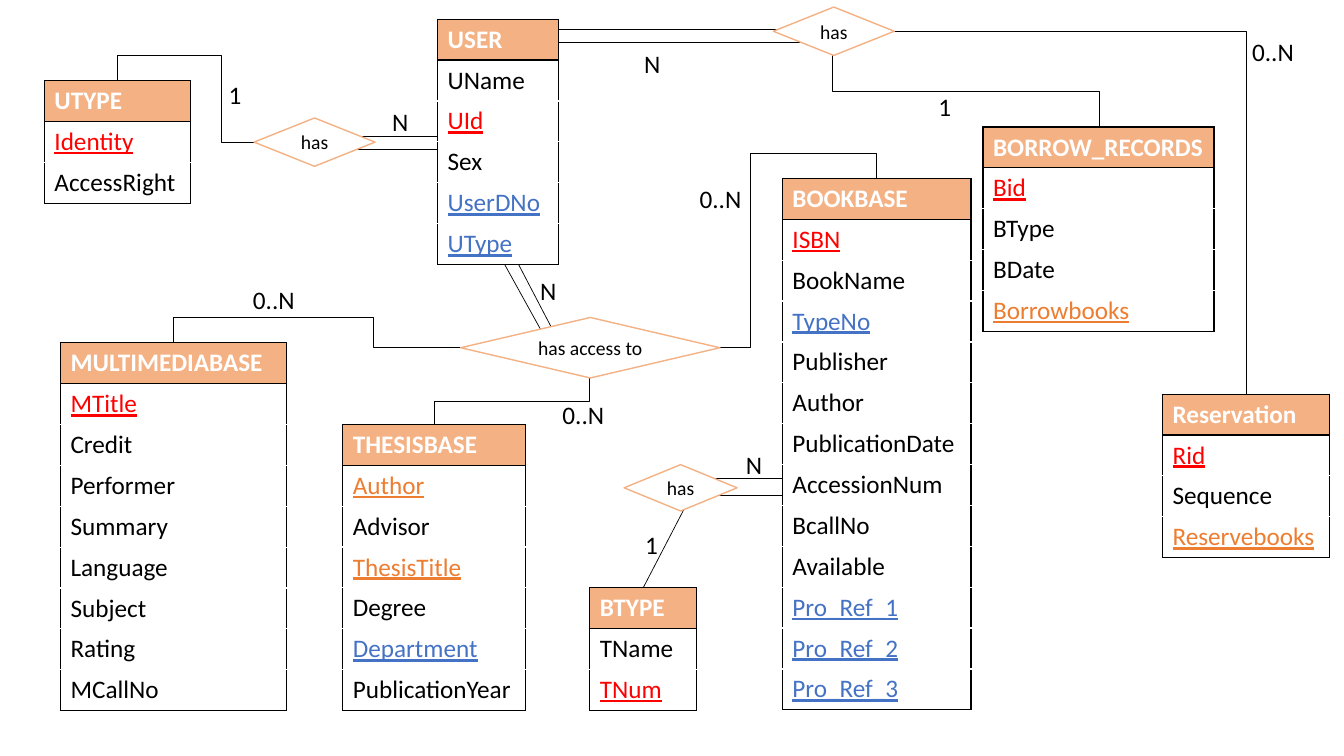
"""Build the entity-relationship diagram of a library database."""
from lxml import etree
from pptx import Presentation
from pptx import util as u
from pptx.dml.color import RGBColor
from pptx.enum import shapes, text
from pptx.oxml.ns import qn

FONT = "Calibri"
COLORS = {"plain": "000000", "primary": "FF0000", "foreign": "4472C4",
          "multiple": "ED7D31", "header": "F4B183", "white": "FFFFFF"}
ROW = u.Inches(5.27) // 13

# Each entity: name, left, top, width, and attributes as name or name:kind
ENTITIES = [
    ("BTYPE", 5.85, 5.83, 1.06, "TName TNum:primary"),
    ("UTYPE", 0.44, 0.8, 1.45, "Identity:primary AccessRight"),
    ("MULTIMEDIABASE", 0.6, 3.4, 2.24,
     "MTitle:primary Credit Performer Summary Language Subject Rating MCallNo"),
    ("THESISBASE", 3.4, 4.21, 1.81,
     "Author:multiple Advisor ThesisTitle:multiple Degree Department:foreign PublicationYear"),
    ("USER", 4.34, 0.19, 1.2, "UName UId:primary Sex UserDNo:foreign UType:foreign"),
    ("BOOKBASE", 7.76, 1.77, 1.87,
     "ISBN:primary BookName TypeNo:foreign Publisher Author PublicationDate AccessionNum "
     "BcallNo Available Pro_Ref_1:foreign Pro_Ref_2:foreign Pro_Ref_3:foreign"),
    ("BORROW_RECORDS", 9.75, 1.26, 2.29, "Bid:primary BType BDate Borrowbooks:multiple"),
    ("Reservation", 11.53, 3.91, 1.66, "Rid:primary Sequence Reservebooks:multiple"),
]
RELATIONSHIPS = [
    ("has access to", 4.57, 3.15, 2.57, 0.6),
    ("has", 6.19, 4.61, 1.12, 0.46),
    ("has", 2.52, 1.17, 1.2, 0.48),
    ("has", 7.67, 0.07, 1.2, 0.48),
]
STRAIGHT_LINES = [
    ((3.54, 1.35), (4.34, 1.35)), ((3.54, 1.48), (4.35, 1.48)),
    ((5.11, 2.56), (5.59, 3.48)), ((4.97, 2.56), (5.54, 3.59)),
    ((6.89, 4.75), (8.08, 4.75)), ((6.88, 4.91), (8.09, 4.91)),
    ((5.53, 0.29), (8.04, 0.29)), ((5.53, 0.42), (8.09, 0.42)),
    ((6.38, 5.83), (6.78, 5.06)),
]
# Each elbow: start, end, whether it leaves vertically, coordinates of its turns
ELBOWS = [
    ((1.16, 0.8), (2.52, 1.41), True, (0.55, 2.2)),
    ((4.57, 3.45), (1.72, 3.4), False, (3.7, 3.15)),
    ((5.85, 3.75), (4.31, 4.21), True, (3.98,)),
    ((7.13, 3.45), (8.69, 1.77), False, (7.44, 1.52)),
    ((8.26, 0.55), (10.9, 1.26), True, (0.91,)),
    ((8.86, 0.31), (12.36, 3.91), False, ()),
]
LABEL_WIDTHS = {"N": 0.36, "1": 0.33, "0..N": 0.62}
LABELS = [
    ("N", 7.3, 4.41), ("N", 3.79, 1.01), ("N", 5.26, 2.68), ("N", 6.29, 0.43),
    ("0..N", 6.84, 1.77), ("0..N", 2.41, 2.77), ("0..N", 5.48, 3.91),
    ("0..N", 12.32, 0.31), ("1", 2.17, 0.74), ("1", 6.3, 5.2), ("1", 9.21, 0.86),
]


def color(name):
    """Return the named colour."""
    return RGBColor.from_string(COLORS[name])


def write(frame, words, size, kind="plain", bold=False):
    """Put one styled paragraph in a text frame and return it."""
    para = frame.paragraphs[0]
    para.text = words
    para.font.name, para.font.size, para.font.bold = FONT, u.Pt(size), bold
    para.font.underline = kind in ("primary", "foreign", "multiple")
    para.font.color.rgb = color(kind)
    return para


def set_borders(cell, top, bottom):
    """Draw black sides and the given top and bottom borders on a cell."""
    properties = cell._tc.get_or_add_tcPr()
    sides = {"lnL": "plain", "lnR": "plain", "lnT": top, "lnB": bottom}
    for position, (side, name) in enumerate(sides.items()):
        line = etree.Element(qn(f"a:{side}"), w=str(u.Pt(1)))
        fill = etree.SubElement(line, qn("a:solidFill"))
        etree.SubElement(fill, qn("a:srgbClr"), val=COLORS[name])
        properties.insert(position, line)


def add_entity(page, name, left, top, width, attributes):
    """Add an entity as a one-column table with a header."""
    fields = [(name, "white")]
    for item in attributes.split():
        field, _, kind = item.partition(":")
        fields.append((field, kind or "plain"))
    count = len(fields)
    table = page.shapes.add_table(count, 1, u.Inches(left), u.Inches(top),
                                  u.Inches(width), ROW * count).table
    table.first_row = table.horz_banding = False
    for index, (field, kind) in enumerate(fields):
        cell = table.cell(index, 0)
        write(cell.text_frame, field, 18, kind, bold=index == 0)
        cell.fill.solid()
        cell.fill.fore_color.rgb = color("white" if index else "header")
        set_borders(cell, "plain" if index < 2 else "white",
                    "plain" if index in (0, count - 1) else "white")


def add_relationship(page, words, left, top, width, height):
    """Add a relationship diamond."""
    diamond = page.shapes.add_shape(shapes.MSO_SHAPE.DIAMOND, u.Inches(left), u.Inches(top),
                                    u.Inches(width), u.Inches(height))
    diamond.shadow.inherit = False
    diamond.fill.solid()
    diamond.fill.fore_color.rgb = color("white")
    diamond.line.color.rgb = color("header")
    diamond.line.width = u.Pt(1)
    frame = diamond.text_frame
    frame.word_wrap = False
    frame.vertical_anchor = text.MSO_ANCHOR.MIDDLE
    write(frame, words, 14).alignment = text.PP_ALIGN.CENTER


def add_line(page, start, end, kind=shapes.MSO_CONNECTOR.STRAIGHT):
    """Add a thin black connector and return it."""
    line = page.shapes.add_connector(kind, *(u.Inches(value) for value in (*start, *end)))
    line.line.color.rgb = color("plain")
    line.line.width = u.Pt(0.5)
    etree.SubElement(line._element.spPr, qn("a:effectLst"))
    return line


def add_elbow(page, start, end, vertical, turns):
    """Add a bent connector whose turns lie at the given coordinates."""
    (x1, y1), (x2, y2) = start, end
    axes = [(x1, x2), (y1, y2)]
    rotation = 0
    if vertical:
        axes.reverse()
        x, y = (x1 + x2) / 2, (y1 + y2) / 2
        half_width, half_height = abs(y2 - y1) / 2, abs(x2 - x1) / 2
        rotation, side = (270, 1) if x2 > x1 else (90, -1)
        start = (x + side * half_width, y - half_height)
        end = (x - side * half_width, y + half_height)
    elif x2 < x1 and y2 < y1:
        rotation, start, end = 180, end, start
    line = add_line(page, start, end, shapes.MSO_CONNECTOR.ELBOW)
    properties = line._element.spPr
    if rotation:
        properties.find(qn("a:xfrm")).set("rot", str(rotation * 60000))
    geometry = properties.find(qn("a:prstGeom"))
    geometry.set("prst", f"bentConnector{len(turns) + 2}")
    guides = geometry.get_or_add_avLst()
    for index, (turn, (first, last)) in enumerate(zip(turns, axes), 1):
        share = round((turn - first) / (last - first) * 100000)
        etree.SubElement(guides, qn("a:gd"), name=f"adj{index}", fmla=f"val {share}")


def add_label(page, words, left, top):
    """Add a cardinality label."""
    box = page.shapes.add_textbox(u.Inches(left), u.Inches(top),
                                  u.Inches(LABEL_WIDTHS[words]), u.Inches(0.4))
    box.text_frame.word_wrap = False
    box.text_frame.auto_size = text.MSO_AUTO_SIZE.SHAPE_TO_FIT_TEXT
    write(box.text_frame, words, 18)


def main():
    """Build and save the slide."""
    deck = Presentation()
    deck.slide_width, deck.slide_height = u.Inches(13.33), u.Inches(7.5)
    page = deck.slides.add_slide(deck.slide_layouts[6])
    builders = [(add_line, STRAIGHT_LINES), (add_elbow, ELBOWS),
                (add_relationship, RELATIONSHIPS), (add_entity, ENTITIES),
                (add_label, LABELS)]
    for build, items in builders:
        for item in items:
            build(page, *item)
    deck.save("out.pptx")


main()
